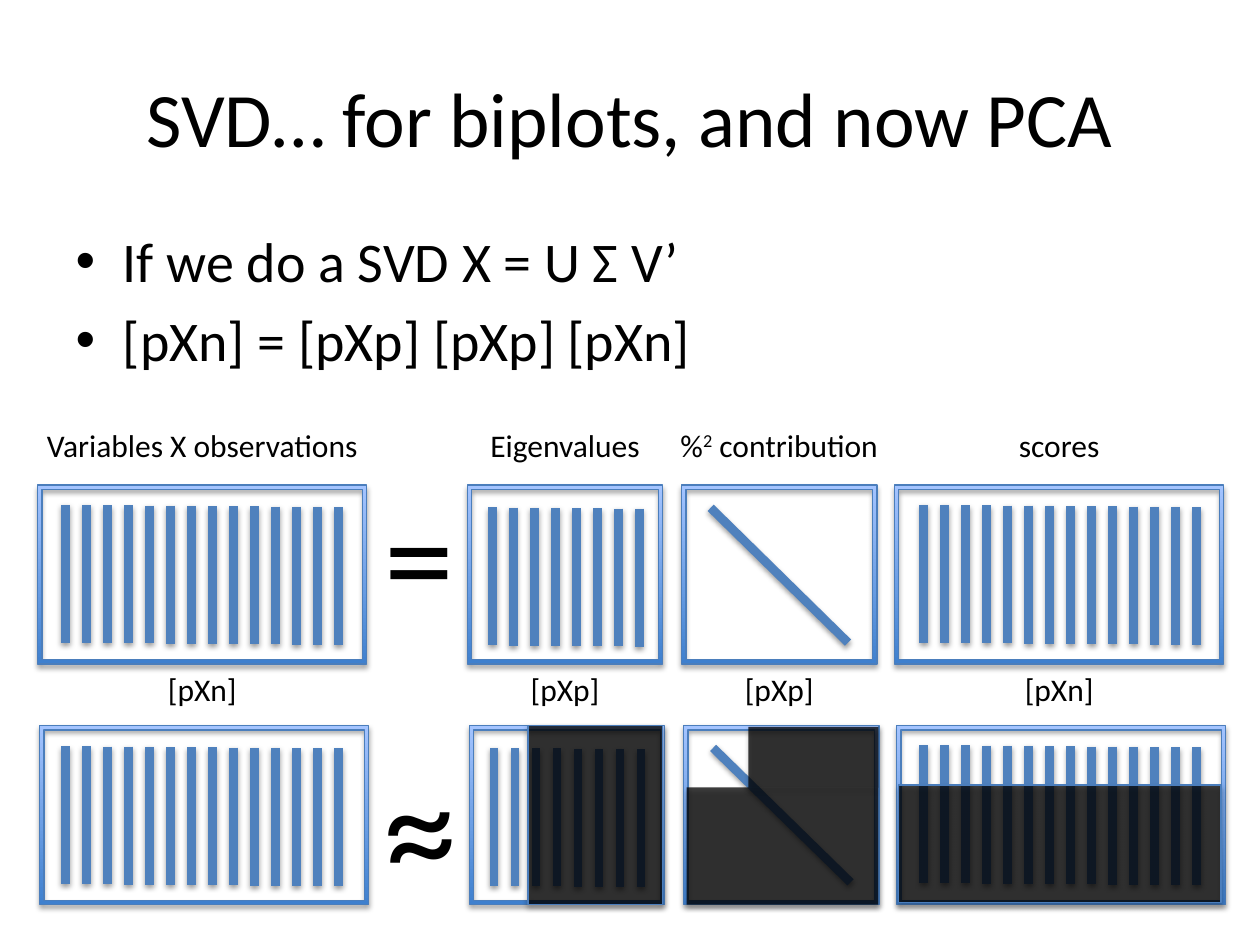
import pptx
import pptx.util
from pptx.dml.color import RGBColor
from pptx.enum.shapes import MSO_CONNECTOR, MSO_SHAPE
from pptx.enum.text import MSO_ANCHOR, PP_ALIGN
from pptx.oxml import parse_xml
from pptx.oxml.ns import nsdecls, qn
from lxml import etree

Pt = pptx.util.Pt
COLORS = {"text": "000000", "bar": "4F81BD", "edge": "4B7EBC",
          "frame_dark": "3F80CE", "frame_light": "A4C4FF", "mask": "000000"}
RGB = {name: RGBColor.from_string(value) for name, value in COLORS.items()}


def add_shadow(shape, dist, opacity):
    shape._element.spPr.append(parse_xml(
        f'<a:effectLst {nsdecls("a")}>'
        f'<a:outerShdw blurRad="{Pt(3.1)}" dist="{Pt(dist)}" dir="5400000" rotWithShape="0">'
        f'<a:srgbClr val="000000"><a:alpha val="{opacity * 1000}"/></a:srgbClr>'
        '</a:outerShdw></a:effectLst>'))


def add_text(x, y, w, h, runs, size, align=PP_ALIGN.LEFT, inset=7.2):
    """Add a one-line text box; runs are (text, baseline percent) pairs."""
    tf = s.shapes.add_textbox(Pt(x), Pt(y), Pt(w), Pt(h)).text_frame
    tf.word_wrap = True
    tf.margin_left = tf.margin_right = Pt(inset)
    p = tf.paragraphs[0]
    p.alignment = align
    for text, baseline in runs:
        r = p.add_run()
        r.text = text
        r.font.name = "Calibri"
        r.font.size = Pt(size)
        r.font.color.rgb = RGB["text"]
        if baseline:
            r.font._element.set("baseline", str(baseline * 1000))


prs = pptx.Presentation()
prs.slide_width, prs.slide_height = Pt(720), Pt(540)
s = prs.slides.add_slide(prs.slide_layouts[1])

# Title and bullets
title, body = s.shapes.title, s.placeholders[1]
for sp, (y, h), size, lines in (
        (title, (21.6, 90), 44, ["SVD… for biplots, and now PCA"]),
        (body, (126, 356.4), 32, ["If we do a SVD X = U Σ V’", "[pXn] = [pXp] [pXp] [pXn]"])):
    sp.left, sp.top, sp.width, sp.height = Pt(36), Pt(y), Pt(648), Pt(h)
    tf = sp.text_frame
    for i, line in enumerate(lines):
        p = tf.add_paragraph() if i else tf.paragraphs[0]
        r = p.add_run()
        r.text = line
        r.font.name = "Calibri"
        r.font.size = Pt(size)
        r.font.color.rgb = RGB["text"]
title.text_frame.vertical_anchor = MSO_ANCHOR.MIDDLE

# Matrix frames: full decomposition above, approximation below
PANEL_H = 102.2
PANELS = [  # left, width, heading runs, dimensions
    (21.6, 188, [("Variables X observations", 0)], "[pXn]"),
    (267.1, 111.6, [("Eigenvalues", 0)], "[pXp]"),
    (389.5, 111.6, [("%", 0), ("2", 30), (" contribution", 0)], "[pXp]"),
    (511.2, 188, [("scores", 0)], "[pXn]"),
]
for shift, y in ((0, 277.2), (1.2, 414.7)):
    for x, w, heading, dims in PANELS:
        sp = s.shapes.add_shape(MSO_SHAPE.FRAME, Pt(x + shift), Pt(y), Pt(w), Pt(PANEL_H))
        sp.adjustments[0] = 0.024
        sp.fill.gradient()
        sp.fill.gradient_angle = 90
        for stop, position, name in zip(sp.fill.gradient_stops, (0, 1),
                                        ("frame_dark", "frame_light")):
            stop.position = position
            stop.color.rgb = RGB[name]
        sp.line.color.rgb = RGB["edge"]
        sp.line.width = Pt(0.75)
        add_shadow(sp, 1.8, 35)

# Equals sign, and two tildes stacked as "approximately equal"
for x, y, symbol in ((212.4, 409.7, "~"), (213.8, 425.5, "~"), (212.4, 264.2, "=")):
    add_text(x, y, 69.1, 104.4, [(symbol, 0)], 80)

# Column bars (each a little lower than the last) and the diagonals
BAR_PITCH, BAR_DROP, BAR_H = 12, 0.1, 78.8
strokes = []
for x, y, count in ((37.4, 288.5, 14), (37.4, 426.4, 14), (527.9, 288.5, 14),
                    (527.9, 425.8, 14), (281.3, 290, 8), (282.3, 427.4, 8)):
    for i in range(count):
        bar_x, bar_y = x + i * BAR_PITCH, y + i * BAR_DROP
        strokes.append((bar_x, bar_y, bar_x, bar_y + BAR_H))
strokes += [(406.1, 290.2, 484.6, 367.2), (407.5, 427.4, 486, 504.2)]
for x1, y1, x2, y2 in strokes:
    line = s.shapes.add_connector(MSO_CONNECTOR.STRAIGHT, Pt(x1), Pt(y1), Pt(x2), Pt(y2))
    line.line.color.rgb = RGB["bar"]
    line.line.width = Pt(5)
    add_shadow(line, 1.6, 38)

# Headings and dimensions, centred on each panel
for x, w, heading, dims in PANELS:
    for y, runs in ((239.8, heading), (379.4, [(dims, 0)])):
        add_text(x - 5, y, w + 10, 29, runs, 18, PP_ALIGN.CENTER, 0)

# Masks over the discarded components
for x, y, w, h, outlined in ((301.7, 414.7, 77, PANEL_H, True),
                             (513.4, 448.6, 184.3, 67, True),
                             (392.4, 450, 109.4, 67, False),
                             (427.7, 415.4, 74.2, 34.6, False)):
    sp = s.shapes.add_shape(MSO_SHAPE.FLOWCHART_PROCESS, Pt(x), Pt(y), Pt(w), Pt(h))
    sp.fill.solid()
    sp.fill.fore_color.rgb = RGB["mask"]
    color = sp._element.spPr.find(qn("a:solidFill"))[0]
    etree.SubElement(color, qn("a:alpha")).set("val", "75000")
    if outlined:
        sp.line.color.rgb = RGB["edge"]
        sp.line.width = Pt(0.75)
    else:
        sp.line.fill.background()
    add_shadow(sp, 1.8, 35)

prs.save("out.pptx")
